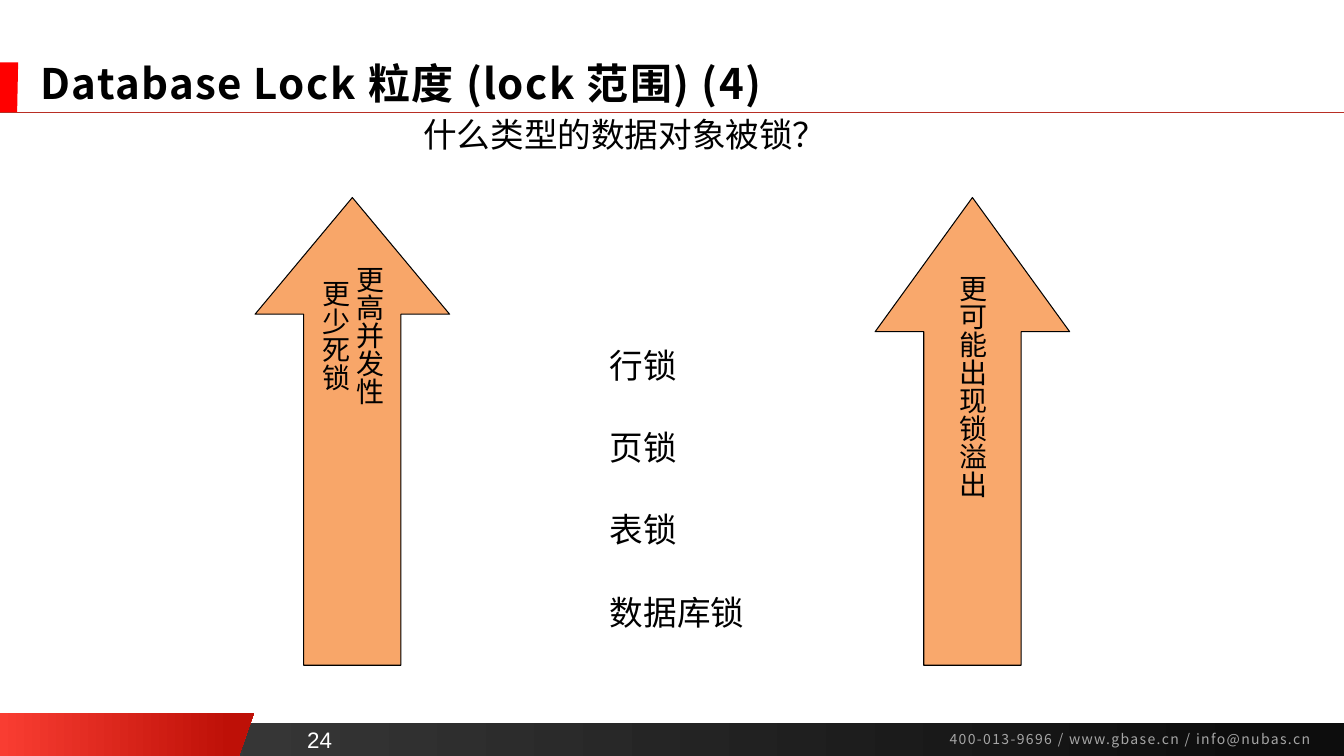
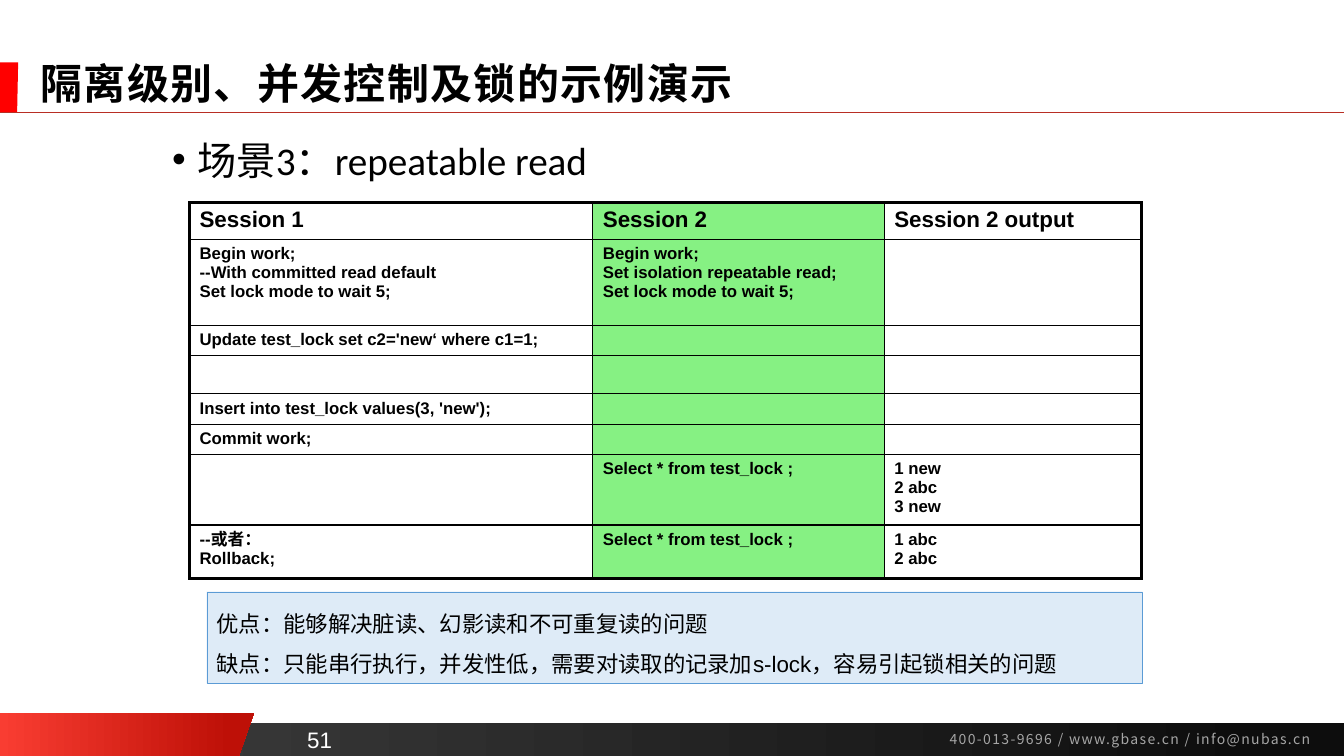
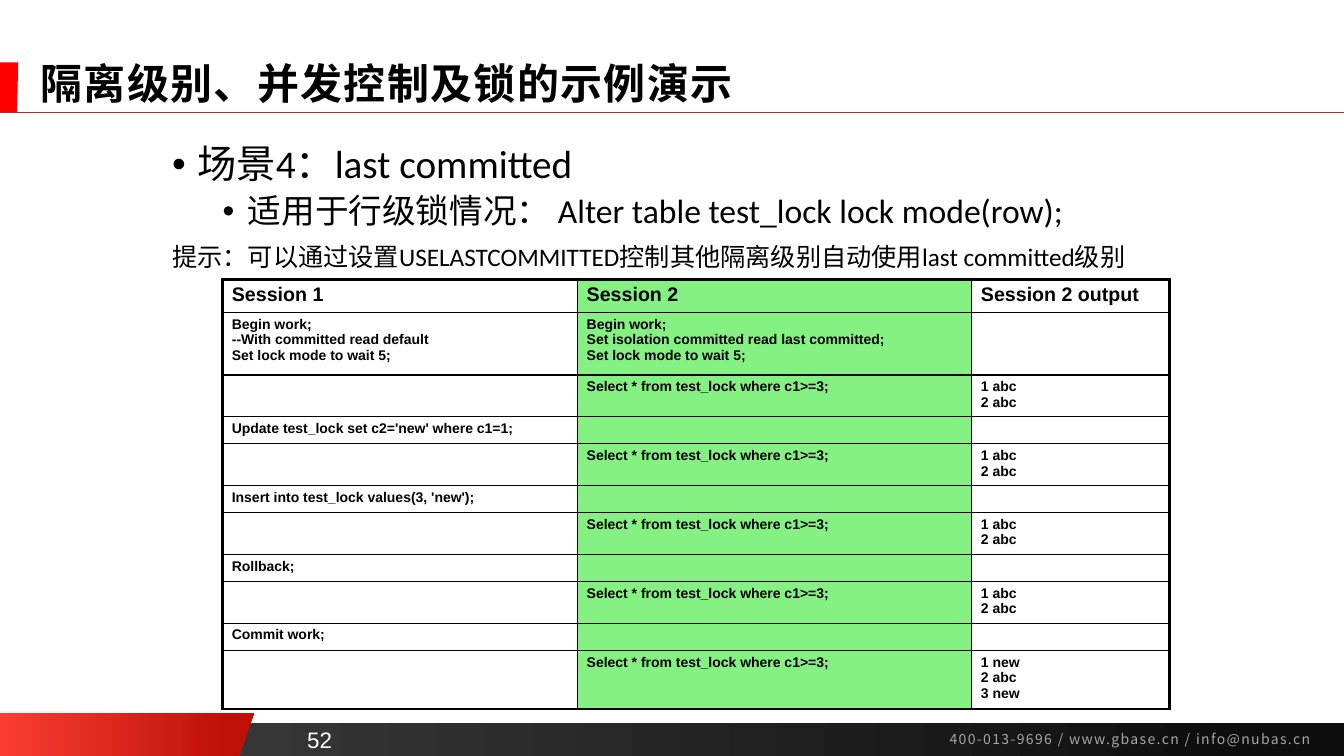
from lxml.etree import SubElement
from pptx import Presentation
from pptx.dml.color import RGBColor
from pptx.enum.shapes import MSO_CONNECTOR, MSO_SHAPE
from pptx.enum.text import MSO_ANCHOR, MSO_AUTO_SIZE, PP_ALIGN
from pptx.oxml.ns import qn
from pptx.util import Inches, Pt

COLORS = {
    "text": "000000",
    "on_dark": "FFFFFF",
    "contact": "A6A6A6",
    "accent": "FF0000",
    "rule": "B82E24",
    "band_start": "404040",
    "band_end": "0D0D0D",
    "flag_start": "F93D32",
    "flag_end": "BE1007",
    "arrow": "F56F0B",
    "session_2": "86F183",
    "note": "DEEBF7",
    "note_line": "5B9BD5",
}
HEADING_FONT = "Noto Sans CJK SC"
BODY_FONT = "Calibri"
PLAIN_FONT = "Arial"
SLIDE_WIDTH, SLIDE_HEIGHT = 13.33, 7.5
SCENARIO_TITLE = "隔离级别、并发控制及锁的示例演示"

SETUP_1 = "Begin work;\n--With committed read default\nSet lock mode to wait 5;"
SETUP_2 = "Begin work;\nSet isolation {};\nSet lock mode to wait 5;"
HEADER = ("Session 1", "Session 2", "Session 2 output")
SELECT_ALL = "Select * from test_lock ;"
SELECT_FROM_3 = "Select * from test_lock where c1>=3;"
INSERT = "Insert into test_lock values(3, 'new');"
BEFORE, AFTER = "1 abc\n2 abc", "1 new\n2 abc\n3 new"
UNCHANGED = ("", SELECT_FROM_3, BEFORE)

REPEATABLE_READ = [
    HEADER,
    (SETUP_1, SETUP_2.format("repeatable read"), ""),
    ("Update test_lock set c2='new‘ where c1=1;", "", ""),
    ("", "", ""),
    (INSERT, "", ""),
    ("Commit work;", "", ""),
    ("", SELECT_ALL, AFTER),
    ("--或者：\nRollback;", SELECT_ALL, BEFORE),
]
LAST_COMMITTED = [
    HEADER,
    (SETUP_1, SETUP_2.format("committed read last committed"), ""),
    UNCHANGED,
    ("Update test_lock set c2='new' where c1=1;", "", ""),
    UNCHANGED,
    (INSERT, "", ""),
    UNCHANGED,
    ("Rollback;", "", ""),
    UNCHANGED,
    ("Commit work;", "", ""),
    ("", SELECT_FROM_3, AFTER),
]


def rgb(name):
    return RGBColor.from_string(COLORS[name])


def add_run(paragraph, text, size, font=PLAIN_FONT, color="text", bold=False, tracking=0):
    """Add a run whose Latin and East Asian fonts agree; tracking is in points."""
    run = paragraph.add_run()
    run.text = text
    run.font.size = Pt(size)
    run.font.name = font
    run.font.bold = bold
    run.font.color.rgb = rgb(color)
    properties = run.font._element
    SubElement(properties, qn("a:ea")).set("typeface", font)
    if tracking:
        properties.set("spc", str(tracking * 100))


def add_lines(frame, lines, size, spacing=None, before=0, align=None, **run_style):
    """Write one paragraph per line; before is the gap between paragraphs."""
    for index, line in enumerate(lines):
        paragraph = frame.add_paragraph() if index else frame.paragraphs[0]
        paragraph.alignment = align
        if spacing:
            paragraph.line_spacing = spacing
        if index and before:
            paragraph.space_before = Pt(before)
        add_run(paragraph, line, size, **run_style)


def add_text(slide, left, top, width, height):
    box = slide.shapes.add_textbox(Inches(left), Inches(top), Inches(width), Inches(height))
    box.text_frame.word_wrap = True
    return box


def set_gradient(shape, start, end, end_position):
    shape.fill.gradient()
    shape.fill.gradient_angle = 0
    first, last = shape.fill.gradient_stops
    first.color.rgb, last.color.rgb = rgb(start), rgb(end)
    first.position, last.position = 0, end_position


def add_slanted_block(slide, top, bottom, top_width, bottom_width):
    corners = [(top_width, top), (bottom_width, bottom), (0, bottom)]
    builder = slide.shapes.build_freeform(0, Inches(top))
    builder.add_line_segments([(Inches(x), Inches(y)) for x, y in corners], close=True)
    block = builder.convert_to_shape()
    block.shadow.inherit = False
    block.line.fill.background()
    return block


def add_shared_design(slide, layout):
    """Draw the bands, rule and contact line, then hand them to the layout."""
    for placeholder in list(layout.placeholders):
        if placeholder.placeholder_format.idx:
            layout.shapes.element.remove(placeholder.element)

    band = slide.shapes.add_shape(
        MSO_SHAPE.RECTANGLE, 0, Inches(7.17), Inches(SLIDE_WIDTH), Inches(0.33))
    band.shadow.inherit = False
    band.line.fill.background()
    set_gradient(band, "band_start", "band_end", 0.94)

    flag = add_slanted_block(slide, 7.07, SLIDE_HEIGHT, 2.52, 2.37)
    set_gradient(flag, "flag_start", "flag_end", 0.91)

    title_mark = add_slanted_block(slide, 0.62, 1.12, 0.18, 0.17)
    title_mark.fill.solid()
    title_mark.fill.fore_color.rgb = rgb("accent")

    contact = add_text(slide, 9.32, 7.2, 3.99, 0.27)
    add_lines(contact.text_frame, ["400-013-9696 / www.gbase.cn / info@nubas.cn"], 10,
              font=HEADING_FONT, color="contact", tracking=1)

    rule = slide.shapes.add_connector(
        MSO_CONNECTOR.STRAIGHT, 0, Inches(1.11), Inches(SLIDE_WIDTH), Inches(1.11))
    rule.line.color.rgb = rgb("rule")
    rule.line.width = Pt(0.5)
    SubElement(rule.element.spPr, qn("a:effectLst"))

    for shape in (band, flag, title_mark, contact, rule):
        layout.shapes.element.append(shape.element)


def set_title(slide, text):
    title = slide.shapes.title
    title.left, title.top = Inches(0.3), Inches(0.59)
    title.width, title.height = Inches(12.26), Inches(0.53)
    frame = title.text_frame
    frame.auto_size = MSO_AUTO_SIZE.NONE
    frame.vertical_anchor = MSO_ANCHOR.MIDDLE
    add_lines(frame, [text], 30, spacing=0.9, align=PP_ALIGN.LEFT,
              font=HEADING_FONT, bold=True, tracking=1)


def add_page_number(slide, number):
    frame = add_text(slide, 2.9, 7.15, 0.54, 0.37).text_frame
    frame.word_wrap = False
    frame.vertical_anchor = MSO_ANCHOR.BOTTOM
    add_lines(frame, [str(number)], 16, align=PP_ALIGN.CENTER, color="on_dark")


def add_up_arrow(slide, left, head_ratio, opacity, lines):
    """Add an up arrow with vertical text; opacity is in percent."""
    arrow = slide.shapes.add_shape(
        MSO_SHAPE.UP_ARROW, Inches(left), Inches(1.96), Inches(1.93), Inches(4.64))
    arrow.adjustments[0], arrow.adjustments[1] = 0.5, head_ratio
    arrow.shadow.inherit = False
    arrow.fill.solid()
    arrow.fill.fore_color.rgb = rgb("arrow")
    fill_color = arrow.element.spPr.find(qn("a:solidFill")).find(qn("a:srgbClr"))
    SubElement(fill_color, qn("a:alpha")).set("val", str(opacity * 1000))
    arrow.line.color.rgb = rgb("text")
    arrow.line.width = Pt(0.75)
    frame = arrow.text_frame
    frame.word_wrap = False
    frame.vertical_anchor = MSO_ANCHOR.MIDDLE
    arrow.element.txBody.find(qn("a:bodyPr")).set("vert", "eaVert")
    add_lines(frame, lines, 20, align=PP_ALIGN.CENTER)


def add_outline(slide, items, height, spacing):
    """Add body text; items are (text, size, bullet indent or None, space before)."""
    frame = add_text(slide, 1.61, 1.39, 11.72, height).text_frame
    for index, (text, size, indent, before) in enumerate(items):
        paragraph = frame.add_paragraph() if index else frame.paragraphs[0]
        paragraph.line_spacing = spacing
        if before:
            paragraph.space_before = Pt(before)
        if indent is not None:
            properties = paragraph._p.get_or_add_pPr()
            properties.set("marL", str(Inches(indent)))
            properties.set("indent", str(Inches(-0.25)))
            SubElement(properties, qn("a:buFont")).set("typeface", "Arial")
            SubElement(properties, qn("a:buChar")).set("char", "•")
        add_run(paragraph, text, size, font=BODY_FONT)


def set_borders(cell, widths):
    """Set the cell borders from a dict of side letter to width in points."""
    properties = cell._tc.get_or_add_tcPr()
    for side in "LRTB":
        line = SubElement(properties, qn(f"a:ln{side}"), w=str(Pt(widths[side])))
        fill = SubElement(line, qn("a:solidFill"))
        SubElement(fill, qn("a:srgbClr")).set("val", COLORS["text"])


def add_session_table(slide, left, top, widths, heights, rows, sizes, insets):
    """sizes are (header, body) points; insets are (side, top and bottom) inches."""
    table = slide.shapes.add_table(
        len(rows), len(widths), Inches(left), Inches(top),
        Inches(sum(widths)), Inches(sum(heights))).table
    table.first_row = table.horz_banding = False
    for column, width in zip(table.columns, widths):
        column.width = Inches(width)
    last_row, last_column = len(rows) - 1, len(widths) - 1
    for r, (row, height) in enumerate(zip(rows, heights)):
        table.rows[r].height = Inches(height)
        size = sizes[min(r, 1)]
        for c, text in enumerate(row):
            cell = table.cell(r, c)
            cell.margin_left = cell.margin_right = Inches(insets[0])
            cell.margin_top = cell.margin_bottom = Inches(insets[1])
            outer = {"L": c == 0, "R": c == last_column, "T": r == 0, "B": r == last_row}
            set_borders(cell, {side: 2.25 if edge else 1 for side, edge in outer.items()})
            if c == 1:
                cell.fill.solid()
                cell.fill.fore_color.rgb = rgb("session_2")
            else:
                cell.fill.background()
            if text:
                add_lines(cell.text_frame, text.split("\n"), size, bold=True)
            else:
                empty = cell.text_frame.paragraphs[0]._p
                SubElement(empty, qn("a:endParaRPr")).set("sz", str(size * 100))


def add_note(slide, lines):
    note = slide.shapes.add_shape(
        MSO_SHAPE.RECTANGLE, Inches(2.05), Inches(5.87), Inches(9.28), Inches(0.91))
    note.shadow.inherit = False
    note.fill.solid()
    note.fill.fore_color.rgb = rgb("note")
    note.line.color.rgb = rgb("note_line")
    note.line.width = Pt(0.25)
    note.text_frame.vertical_anchor = MSO_ANCHOR.TOP
    add_lines(note.text_frame, lines, 16, spacing=1.5, align=PP_ALIGN.LEFT)


def fill_granularity(slide):
    locks = add_text(slide, 5.95, 3.37, 1.7, 2.9)
    add_lines(locks.text_frame, ["行锁", "页锁", "表锁", "数据库锁"], 24, before=30)
    add_up_arrow(slide, 2.53, 0.6, 61, ["更高并发性", "更少死锁"])
    add_up_arrow(slide, 8.68, 0.69, 60, ["更可能出现锁溢出"])
    question = add_text(slide, 4.1, 1.08, 4.3, 0.51)
    add_lines(question.text_frame, ["什么类型的数据对象被锁？"], 24)


def fill_repeatable_read(slide):
    add_outline(slide, [("场景3：repeatable read", 28, 0.25, 0)], 0.55, 0.8)
    add_session_table(
        slide, 1.88, 2.01, [4, 2.89, 2.55],
        [0.34, 0.85, 0.28, 0.38, 0.29, 0.3, 0.66, 0.53],
        REPEATABLE_READ, (16, 12), (0.1, 0.05))
    add_note(slide, [
        "优点：能够解决脏读、幻影读和不可重复读的问题",
        "缺点：只能串行执行，并发性低，需要对读取的记录加s-lock，容易引起锁相关的问题",
    ])


def fill_last_committed(slide):
    add_outline(slide, [
        ("场景4：last committed", 28, 0.25, 0),
        ("适用于行级锁情况： Alter table test_lock lock mode(row);", 24, 0.75, 5),
        ("提示：可以通过设置USELASTCOMMITTED控制其他隔离级别自动使用last committed级别",
         18, None, 10),
    ], 1.38, 0.9)
    add_session_table(
        slide, 2.21, 2.77, [3.52, 3.91, 1.96],
        [0.33, 0.62] + [0.41, 0.27] * 4 + [0.58],
        LAST_COMMITTED, (14, 10), (0.09, 0.04))


def main():
    deck = Presentation()
    deck.slide_width, deck.slide_height = Inches(SLIDE_WIDTH), Inches(SLIDE_HEIGHT)
    layout = deck.slide_layouts.get_by_name("Title Only")
    pages = [
        (24, "Database Lock 粒度 (lock 范围) (4)", fill_granularity),
        (51, SCENARIO_TITLE, fill_repeatable_read),
        (52, SCENARIO_TITLE, fill_last_committed),
    ]
    for index, (number, title, fill_content) in enumerate(pages):
        slide = deck.slides.add_slide(layout)
        if index == 0:
            add_shared_design(slide, layout)
        set_title(slide, title)
        add_page_number(slide, number)
        fill_content(slide)
    deck.save("out.pptx")


if __name__ == "__main__":
    main()
